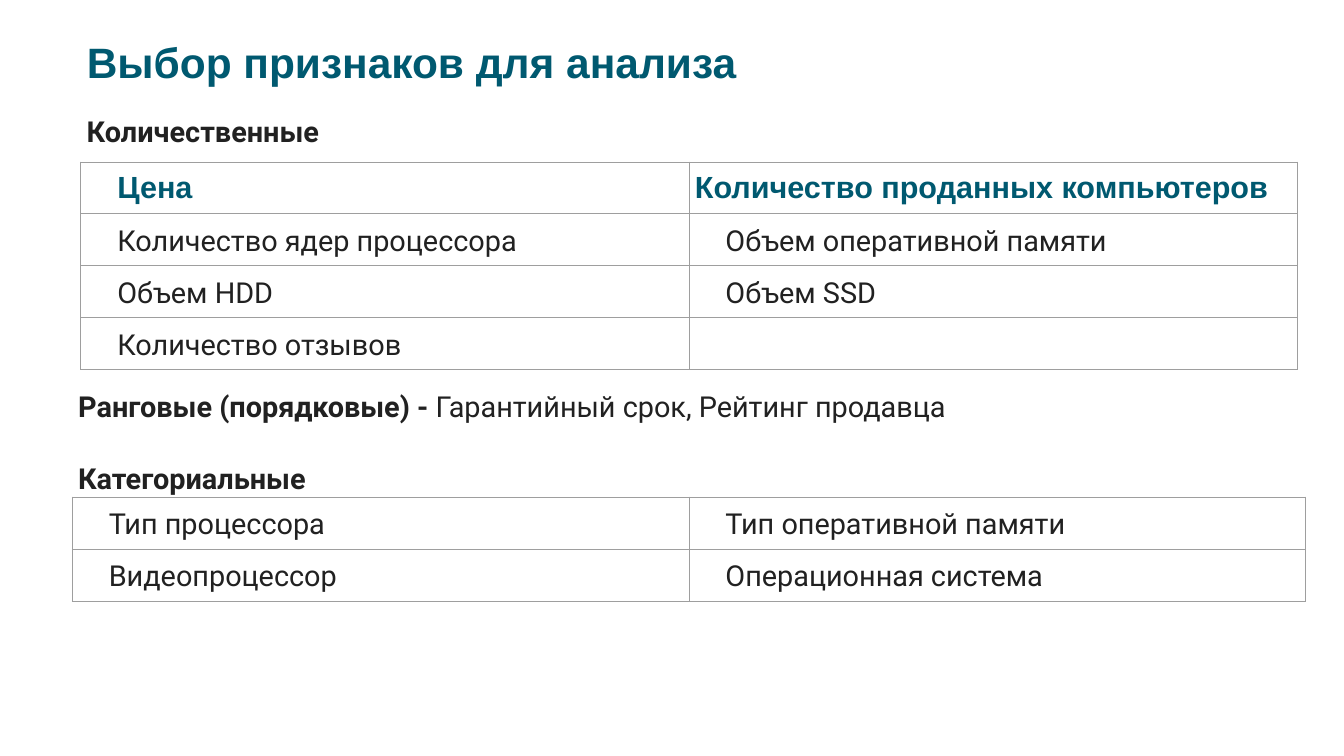
from dataclasses import dataclass

from lxml.etree import SubElement
from pptx import Presentation
from pptx.dml.color import RGBColor
from pptx.enum.text import MSO_ANCHOR, MSO_AUTO_SIZE, PP_ALIGN
from pptx.oxml.ns import qn
from pptx.util import Inches, Pt


@dataclass(frozen=True)
class Theme:
    accent: str = "005970"
    ink: str = "212121"
    grid: str = "9E9E9E"
    head_font: str = "Arial"
    body_font: str = "Roboto"
    title_size: int = 50
    head_size: int = 36
    body_size: int = 34
    inset: float = 0.1
    indent: float = 0.5
    grid_width: float = 0.75


T = Theme()
HEAD = {"line_spacing": 1.07, "space_before": Pt(0), "space_after": Pt(0)}
BODY = {"line_spacing": 1.15, "space_before": Pt(6), "space_after": Pt(5)}

QUANTITATIVE = [
    ["Цена", "Количество проданных компьютеров"],
    ["Количество ядер процессора", "Объем оперативной памяти"],
    ["Объем HDD", "Объем SSD"],
    ["Количество отзывов", ""],
]
CATEGORICAL = [
    ["Тип процессора", "Тип оперативной памяти"],
    ["Видеопроцессор", "Операционная система"],
]


def apply(obj, values):
    for name, value in values.items():
        setattr(obj, name, value)


def set_margins(obj):
    sides = ("left", "top", "right", "bottom")
    apply(obj, {f"margin_{side}": Inches(T.inset) for side in sides})


def add_run(p, text, size, font, color, bold):
    r = p.add_run()
    r.text = text
    apply(r.font, {"size": Pt(size), "name": font, "bold": bold})
    r.font.color.rgb = RGBColor.from_string(color)


def add_body_run(p, text, bold=False):
    add_run(p, text, T.body_size, T.body_font, T.ink, bold)


def set_frame(tf):
    set_margins(tf)
    apply(tf, {"word_wrap": True, "vertical_anchor": MSO_ANCHOR.TOP,
               "auto_size": MSO_AUTO_SIZE.SHAPE_TO_FIT_TEXT})


def add_title(s, box, text):
    sp = s.shapes.title
    apply(sp, dict(zip(("left", "top", "width", "height"), map(Inches, box))))
    set_frame(sp.text_frame)
    p = sp.text_frame.paragraphs[0]
    apply(p, {**HEAD, "alignment": PP_ALIGN.LEFT})
    add_run(p, text, T.title_size, T.head_font, T.accent, True)


def add_label(s, box, bold_text, plain_text=""):
    tf = s.shapes.add_textbox(*map(Inches, box)).text_frame
    set_frame(tf)
    p = tf.paragraphs[0]
    apply(p, BODY)
    add_body_run(p, bold_text, True)
    if plain_text:
        add_body_run(p, plain_text)


def set_borders(cell):
    tc_pr = cell._tc.get_or_add_tcPr()
    for i, side in enumerate(("lnL", "lnR", "lnT", "lnB")):
        ln = SubElement(tc_pr, qn(f"a:{side}"), w=str(Pt(T.grid_width)))
        fill = SubElement(ln, qn("a:solidFill"))
        SubElement(fill, qn("a:srgbClr"), val=T.grid)
        tc_pr.insert(i, ln)


def fill_cell(cell, text, heading, indented):
    cell.fill.background()
    set_margins(cell)
    set_borders(cell)
    if not text:
        return
    p = cell.text_frame.paragraphs[0]
    if indented:
        p._p.get_or_add_pPr().set("marL", str(Inches(T.indent)))
    if heading:
        apply(p, {**HEAD, "alignment": PP_ALIGN.JUSTIFY})
        add_run(p, text, T.head_size, T.head_font, T.accent, True)
    else:
        apply(p, BODY)
        add_body_run(p, text)


def add_features(s, box, rows, has_heading=False):
    frame = s.shapes.add_table(len(rows), len(rows[0]), *map(Inches, box))
    table = frame.table
    apply(table, {"first_row": False, "horz_banding": False})
    for i, row in enumerate(rows):
        heading = has_heading and i == 0
        table.rows[i].height = Inches(0.83 if heading else 0.85)
        for j, text in enumerate(row):
            fill_cell(table.cell(i, j), text, heading, not heading or j == 0)


def build_feature_slide(prs):
    s = prs.slides.add_slide(prs.slide_layouts[5])
    add_title(s, (1.32, 0.43, 20.67, 1.04), "Выбор признаков для анализа")
    add_label(s, (1.32, 1.67, 11.75, 0.77), "Количественные")
    add_features(s, (1.32, 2.65, 19.9, 3.38), QUANTITATIVE, True)
    add_label(s, (1.18, 6.17, 19.63, 0.77), "Ранговые (порядковые) - ",
              "Гарантийный срок, Рейтинг продавца")
    add_label(s, (1.18, 7.36, 9.2, 0.77), "Категориальные")
    add_features(s, (1.18, 8.13, 20.18, 1.7), CATEGORICAL)


def main():
    prs = Presentation()
    apply(prs, {"slide_width": Inches(21.99), "slide_height": Inches(12.37)})
    build_feature_slide(prs)
    prs.save("out.pptx")


if __name__ == "__main__":
    main()
